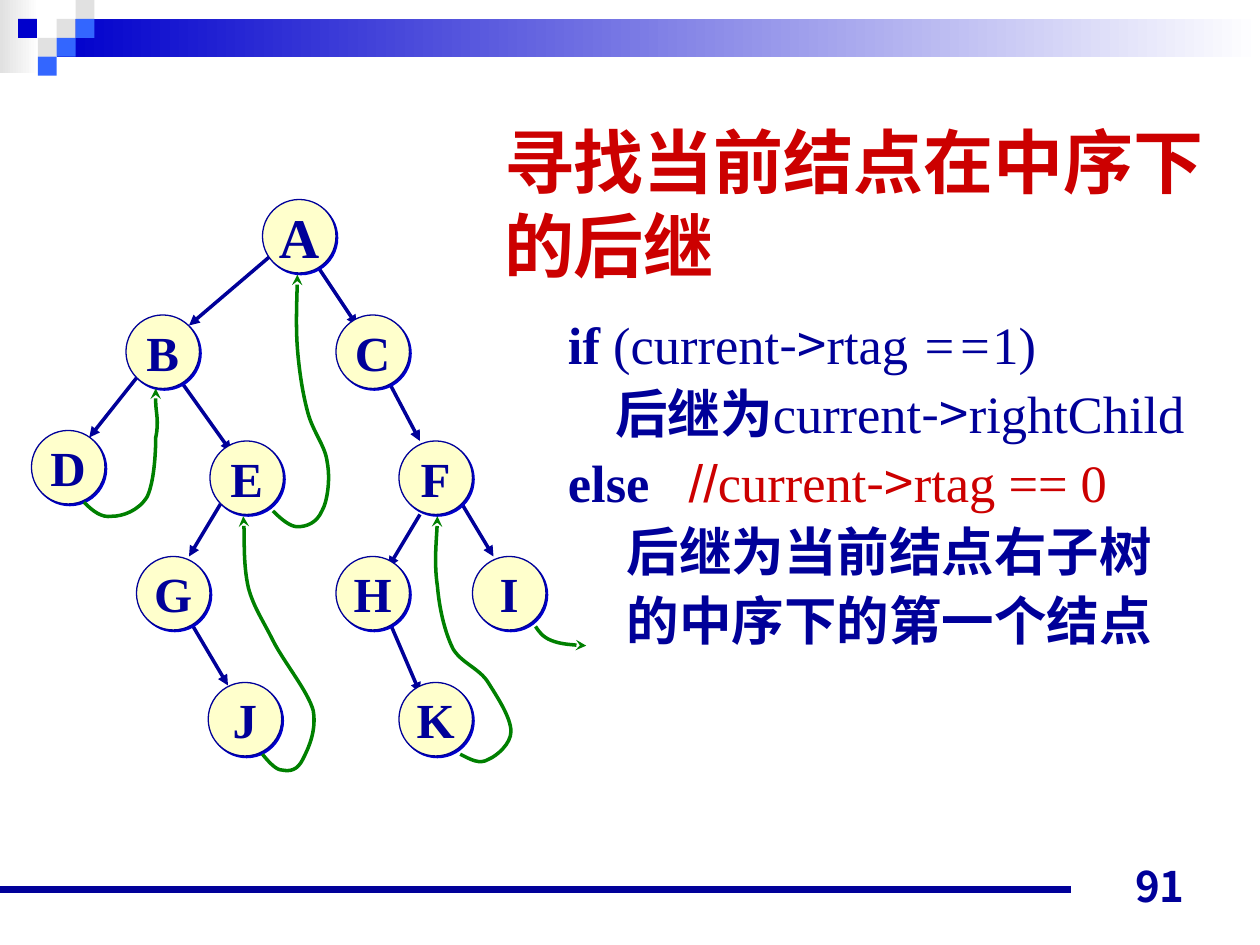
from dataclasses import dataclass
from typing import NamedTuple

from lxml import etree
from pptx import Presentation, util as u
from pptx.dml.color import RGBColor
from pptx.enum import shapes, text
from pptx.oxml.ns import qn


@dataclass(frozen=True)
class Theme:
    navy: str = "000099"
    blue: str = "0000CC"
    sky: str = "3366FF"
    grey: str = "E1E1E1"
    white: str = "FFFFFF"
    red: str = "CC0000"
    green: str = "008000"
    cream: str = "FFFFCC"
    serif: str = "Times New Roman"
    sans: str = "Arial"
    chinese: str = "Noto Sans CJK SC"
    number_font: str = "Noto Sans CJK JP"
    title_size: float = 40
    body_size: float = 30
    root_size: float = 32
    node_size: float = 28
    number_size: float = 24


class Node(NamedTuple):
    label: str
    left: float
    top: float


class Edge(NamedTuple):
    start: tuple[float, float]
    end: tuple[float, float]


class Square(NamedTuple):
    column: int
    row: int
    color: str


class CodeLine(NamedTuple):
    runs: list[tuple[str, dict]]
    indent: float = 0
    tab: float = 0


THEME = Theme()
NODE_DIAMETER = 42
SQUARE = 10.8

NODES = [
    Node("A", 150, 114), Node("B", 72, 180), Node("D", 18, 246), Node("E", 120, 252),
    Node("C", 192, 180), Node("F", 228, 252), Node("H", 192, 318), Node("I", 270, 318),
    Node("K", 228, 390), Node("G", 78, 318), Node("J", 119, 390),
]
EDGES = [
    Edge((180, 150), (204, 186)), Edge((221, 216), (240, 252)),
    Edge((264, 288), (282, 318)), Edge((240, 294), (222, 324)),
    Edge((222, 354), (240, 396)), Edge((155.5, 145.5), (108, 186)),
    Edge((102, 216), (132, 258)), Edge((126, 288), (108, 318)),
    Edge((108, 354), (130.3, 391.7)), Edge((78, 216), (51, 250)),
]
# Each thread is a start point followed by Bézier triples
THREADS = {
    "D to B": [
        (48.2, 287.3), (53.3, 291.6), (58.3, 295.9), (64.1, 295.2),
        (69.8, 295.2), (79.2, 291.6), (83.5, 284.4), (87.8, 276.5), (88.6, 259.2), (89.3, 249.8),
        (90.7, 241.2), (89.3, 234.7), (89.3, 230.4), (89.3, 225.4), (89.3, 223.2), (89.3, 221.8)],
    "E to A": [
        (155.5, 292.3), (160.6, 296.6), (165.6, 301), (169.9, 301),
        (175, 301), (181.4, 298.8), (184.3, 292.3), (187.2, 286.6), (188.6, 273.6), (187.2, 264.2),
        (185.8, 254.9), (178.6, 247), (175.7, 236.2), (172.8, 225.4), (171.4, 212.4), (169.9, 199.4),
        (169.2, 185.8), (169.9, 163.4), (169.9, 157)],
    "J to E": [
        (150.5, 431.3), (154.1, 435.6), (157.7, 439.9), (161.3, 439.9),
        (165.6, 440.6), (169.9, 439.9), (172.8, 434.2), (175.7, 428.4), (181.4, 417.6), (178.6, 406.1),
        (175.7, 394.6), (162, 378), (155.5, 366.5), (149.8, 354.2), (144.7, 347), (141.8, 335.5),
        (139, 323.3), (139.7, 302.4), (139, 295.2)],
    "K to F": [
        (262.8, 431.3), (268.6, 434.2), (274.3, 437), (278.6, 434.2),
        (283.7, 432), (292.3, 424.8), (292.3, 417.6), (292.3, 410.4), (284.4, 398.2), (278.6, 390.2),
        (273.6, 382.3), (264.2, 379.4), (259.2, 370.8), (254.2, 361.4), (251.3, 347), (249.8, 334.8),
        (247.7, 321.8), (249.8, 301.7), (249.8, 295.2)],
    "I onward": [
        (306, 357.8), (308.2, 361.4), (309.6, 364.3), (314.6, 366.5),
        (319.7, 367.9), (331.2, 368.6), (334.8, 369.4)],
}
SQUARES = [
    Square(1, 1, THEME.grey), Square(2, 0, THEME.grey), Square(2, 1, THEME.sky),
    Square(0, 2, THEME.grey), Square(1, 2, THEME.sky), Square(0, 3, THEME.sky),
]
BOLD = {"bold": True}
RED = {"color": THEME.red}
ARROW = ("->", {"font": THEME.chinese})
CODE = [
    CodeLine([("if", BOLD), (" (current", {}), ARROW, ("rtag ", {}),
              ("==", {"italic": True}), ("1)", {})]),
    CodeLine([("后继为", BOLD), ("current", {}), ARROW, ("rightChild", {})], indent=27),
    CodeLine([("else\t", BOLD), ("//", {"font": THEME.sans, **RED}), ("current", RED),
              (ARROW[0], {**ARROW[1], **RED}), ("rtag == 0", RED)], tab=69),
    CodeLine([("后继为当前结点右子树", BOLD)], indent=33.6),
    CodeLine([("的中序下的第一个结点", BOLD)], indent=33.6),
]


def rgb(color: str) -> RGBColor:
    return RGBColor.from_string(color)


def add_run(paragraph, content: str, *, size: float = THEME.body_size, font: str = THEME.serif,
            color: str = THEME.navy, bold: bool = False, italic: bool = False) -> None:
    run = paragraph.add_run()
    run.text = content
    run.font.size, run.font.name = u.Pt(size), font
    run.font.bold, run.font.italic = bold, italic
    run.font.color.rgb = rgb(color)
    etree.SubElement(run.font._element, qn("a:ea"), typeface=THEME.chinese)


def add_box(slide, kind, left: float, top: float, width: float, height: float, fill: str):
    shape = slide.shapes.add_shape(kind, u.Pt(left), u.Pt(top), u.Pt(width), u.Pt(height))
    shape.shadow.inherit = False
    shape.fill.solid()
    shape.fill.fore_color.rgb = rgb(fill)
    shape.line.fill.background()
    return shape


def add_fading_bar(slide, left: float, top: float, width: float, height: float, color: str) -> None:
    bar = add_box(slide, shapes.MSO_SHAPE.RECTANGLE, left, top, width, height, color)
    bar.fill.gradient()
    bar.fill.gradient_angle = 0
    for stop, stop_color in zip(bar.fill.gradient_stops, (color, THEME.white)):
        stop.color.rgb = rgb(stop_color)


def style_line(shape, color: str, width: float, head: str = "") -> None:
    shape.line.color.rgb = rgb(color)
    shape.line.width = u.Pt(width)
    if head:
        etree.SubElement(shape.line._get_or_add_ln(), qn("a:tailEnd"), type=head)


def add_line(slide, edge: Edge, width: float, head: str = "") -> None:
    points = [u.Pt(value) for value in (*edge.start, *edge.end)]
    line = slide.shapes.add_connector(shapes.MSO_CONNECTOR.STRAIGHT, *points)
    style_line(line, THEME.navy, width, head)
    etree.SubElement(line._element.spPr, qn("a:effectLst"))


def add_thread(slide, points: list[tuple[float, float]]) -> None:
    builder = slide.shapes.build_freeform(*points[0], scale=u.Pt(1) / 1.0)
    builder.add_line_segments(points[1:], close=False)
    thread = builder.convert_to_shape()
    thread.shadow.inherit = False
    thread.fill.background()
    style_line(thread, THEME.green, 2, "stealth")
    # Join every three straight segments into one Bézier segment
    segments = list(thread._element.iter(qn("a:lnTo")))
    outline = segments[0].getparent()
    for first in range(0, len(segments), 3):
        curve = etree.SubElement(outline, qn("a:cubicBezTo"))
        for segment in segments[first:first + 3]:
            curve.append(segment[0])
            outline.remove(segment)


def add_node(slide, node: Node) -> None:
    circle = add_box(slide, shapes.MSO_SHAPE.OVAL, node.left, node.top,
                     NODE_DIAMETER, NODE_DIAMETER, THEME.cream)
    style_line(circle, THEME.navy, 0.75)
    effects = circle._element.spPr.find(qn("a:effectLst"))
    shadow = etree.SubElement(effects, qn("a:outerShdw"), dist=str(u.Pt(1.4)), dir="2700000")
    etree.SubElement(shadow, qn("a:srgbClr"), val=THEME.blue)
    frame = circle.text_frame
    frame.word_wrap = False
    frame.vertical_anchor = text.MSO_ANCHOR.MIDDLE
    frame.paragraphs[0].alignment = text.PP_ALIGN.CENTER
    size = THEME.root_size if node.label == "A" else THEME.node_size
    add_run(frame.paragraphs[0], node.label, size=size, bold=True)


def add_text_box(slide, left: float, top: float, width: float, height: float):
    frame = slide.shapes.add_textbox(u.Pt(left), u.Pt(top), u.Pt(width), u.Pt(height)).text_frame
    frame.word_wrap = True
    return frame


def format_title(title) -> None:
    title.left, title.top, title.width, title.height = map(u.Pt, (280.8, 59, 415, 103.7))
    frame = title.text_frame
    frame.auto_size = text.MSO_AUTO_SIZE.NONE
    frame.vertical_anchor = text.MSO_ANCHOR.TOP
    frame.margin_top = u.Pt(8.6)
    paragraph = frame.paragraphs[0]
    paragraph.alignment = text.PP_ALIGN.LEFT
    paragraph.line_spacing = u.Pt(48)
    add_run(paragraph, "寻找当前结点在中序下的后继", size=THEME.title_size, color=THEME.red, bold=True)


def add_code(slide) -> None:
    frame = add_text_box(slide, 317.5, 167.8, 388.8, 363.6)
    frame.margin_top = u.Pt(7)
    for index, line in enumerate(CODE):
        paragraph = frame.add_paragraph() if index else frame.paragraphs[0]
        paragraph.line_spacing = u.Pt(39.5)
        properties = paragraph._p.get_or_add_pPr()
        properties.set("marL", str(u.Pt(line.indent)))
        if line.tab:
            stops = etree.SubElement(properties, qn("a:tabLst"))
            etree.SubElement(stops, qn("a:tab"), pos=str(u.Pt(line.tab)), algn="l")
        for content, style in line.runs:
            add_run(paragraph, content, **style)


def main() -> None:
    presentation = Presentation()
    presentation.slide_width, presentation.slide_height = u.Pt(720), u.Pt(540)
    slide = presentation.slides.add_slide(presentation.slide_layouts[5])
    format_title(slide.shapes.title)

    # Header band and footer rule
    add_fading_bar(slide, 0, 0, 22.3, 41.8, THEME.grey)
    add_fading_bar(slide, 32.4, SQUARE, 687.6, 21.6, THEME.blue)
    for square in SQUARES:
        add_box(slide, shapes.MSO_SHAPE.RECTANGLE, (square.column + 2) * SQUARE,
                square.row * SQUARE, SQUARE, SQUARE, square.color)
    add_box(slide, shapes.MSO_SHAPE.RECTANGLE, 10.3, SQUARE, SQUARE, SQUARE, THEME.blue)
    add_line(slide, Edge((0, 508.3), (612, 508.3)), 4.5)

    # Threaded tree
    for edge in EDGES:
        add_line(slide, edge, 2, "triangle")
    add_code(slide)
    for node in NODES:
        add_node(slide, node)
    for points in THREADS.values():
        add_thread(slide, points)

    # Page number
    frame = add_text_box(slide, 516, 488, 168, 36)
    frame.vertical_anchor = text.MSO_ANCHOR.BOTTOM
    frame.paragraphs[0].alignment = text.PP_ALIGN.RIGHT
    add_run(frame.paragraphs[0], "91", size=THEME.number_size, font=THEME.number_font, bold=True)
    presentation.save("out.pptx")


if __name__ == "__main__":
    main()
